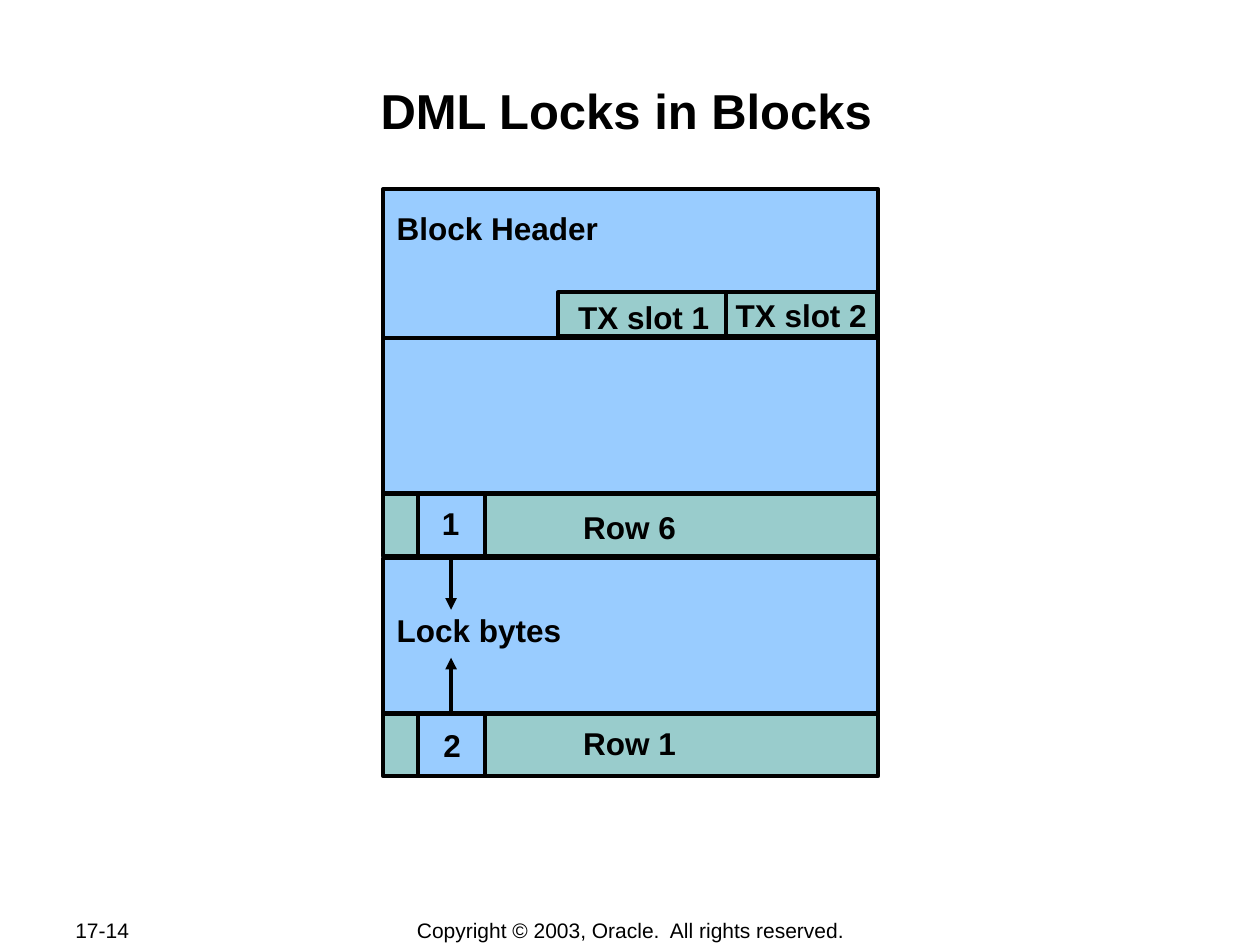
from lxml import etree
from pptx import Presentation
from pptx.dml.color import RGBColor
from pptx.enum import shapes, text
from pptx.oxml import ns
from pptx.util import Inches, Pt

COLORS = {"ink": "000000", "block": "99CCFF", "row": "99CCCC"}
ALIGN = text.PP_ALIGN

# Grid of the data block, in inches
LEFT, WIDTH = 3.04, 3.93
HEADER_TOP, FREE_TOP, LOCK_TOP = 1.5, 2.68, 4.43
ROW_TOPS = {"Row 6": 3.92, "Row 1": 5.67}
ROW_HEIGHT, BAND_HEIGHT = 0.49, 1.23
SLOT_TOP, SLOT_HEIGHT = 2.32, 0.35
BYTE_LEFT, BYTE_WIDTH = 3.32, 0.53
ARROW_X = 3.58

deck = Presentation()
deck.slide_width, deck.slide_height = Inches(10), Inches(7.5)
page = deck.slides.add_slide(deck.slide_layouts[6])


def add_text(words, left, top, width, height=0.4, *, size=18, bold=True,
             align=ALIGN.LEFT, anchor=text.MSO_ANCHOR.TOP, wrap=False,
             grow=True, insets=(0.1, 0.05, 0.1, 0.05)):
    box = page.shapes.add_textbox(*map(Inches, (left, top, width, height)))
    frame = box.text_frame
    frame.word_wrap = wrap
    frame.vertical_anchor = anchor
    frame.auto_size = (text.MSO_AUTO_SIZE.SHAPE_TO_FIT_TEXT if grow
                       else text.MSO_AUTO_SIZE.NONE)
    (frame.margin_left, frame.margin_top,
     frame.margin_right, frame.margin_bottom) = map(Inches, insets)
    para = frame.paragraphs[0]
    para.alignment = align
    span = para.add_run()
    span.text = words
    span.font.name, span.font.size, span.font.bold = "Arial", Pt(size), bold
    span.font.color.rgb = RGBColor.from_string(COLORS["ink"])


def add_cell(left, top, width, height, color):
    cell = page.shapes.add_shape(shapes.MSO_SHAPE.RECTANGLE,
                                 *map(Inches, (left, top, width, height)))
    cell.shadow.inherit = False
    cell.fill.solid()
    cell.fill.fore_color.rgb = RGBColor.from_string(COLORS[color])
    cell.line.color.rgb = RGBColor.from_string(COLORS["ink"])
    cell.line.width = Pt(2.25)


# Title and footer
add_text("DML Locks in Blocks", 0.97, 0.58, 8, 0.96, size=28, wrap=True,
         grow=False, align=ALIGN.CENTER, insets=(0.01, 0.06, 0.01, 0.01))
footers = [("17-14", 0.5, 1.06, ALIGN.LEFT),
           ("Copyright © 2003, Oracle.  All rights reserved.", 2.76, 4.49, ALIGN.CENTER)]
for words, left, width, align in footers:
    add_text(words, left, 7.28, width, 0.2, size=12, bold=False, wrap=True,
             grow=False, align=align, anchor=text.MSO_ANCHOR.MIDDLE)

# Block header, free space, lock band and the two rows
add_cell(LEFT, HEADER_TOP, WIDTH, FREE_TOP - HEADER_TOP, "block")
for top in (FREE_TOP, LOCK_TOP):
    add_cell(LEFT, top, WIDTH, BAND_HEIGHT, "block")
for top in ROW_TOPS.values():
    add_cell(LEFT, top, WIDTH, ROW_HEIGHT, "row")

# Transaction slots
for left, width in ((4.43, 1.37), (5.76, 1.2)):
    add_cell(left, SLOT_TOP, width, SLOT_HEIGHT, "row")

# Arrows run from inside each lock byte to the label
for start, end in ((4.08, 4.84), (5.99, 5.22)):
    arrow = page.shapes.add_connector(
        shapes.MSO_CONNECTOR.STRAIGHT,
        *map(Inches, (ARROW_X, start, ARROW_X, end)))
    arrow.line.color.rgb = RGBColor.from_string(COLORS["ink"])
    arrow.line.width = Pt(2.25)
    etree.SubElement(arrow.line._get_or_add_ln(), ns.qn("a:tailEnd"), type="triangle")
    etree.SubElement(arrow._element.spPr, ns.qn("a:effectLst"))

# Lock bytes cover the arrow starts
for top in ROW_TOPS.values():
    add_cell(BYTE_LEFT, top, BYTE_WIDTH, ROW_HEIGHT, "block")

# Labels: words, left, top, width
labels = [
    ("Block Header", 3.05, 1.61, 1.8),
    ("TX slot 1", 4.49, 2.32, 1.24),
    ("TX slot 2", 5.74, 2.3, 1.24),
    ("Row 6", 4.53, 3.98, 0.94),
    ("1", 3.41, 3.95, 0.34),
    ("Lock bytes", 3.05, 4.8, 1.51),
    ("Row 1", 4.53, 5.7, 0.94),
    ("2", 3.42, 5.71, 0.34),
]
for label in labels:
    add_text(*label)

deck.save("out.pptx")
